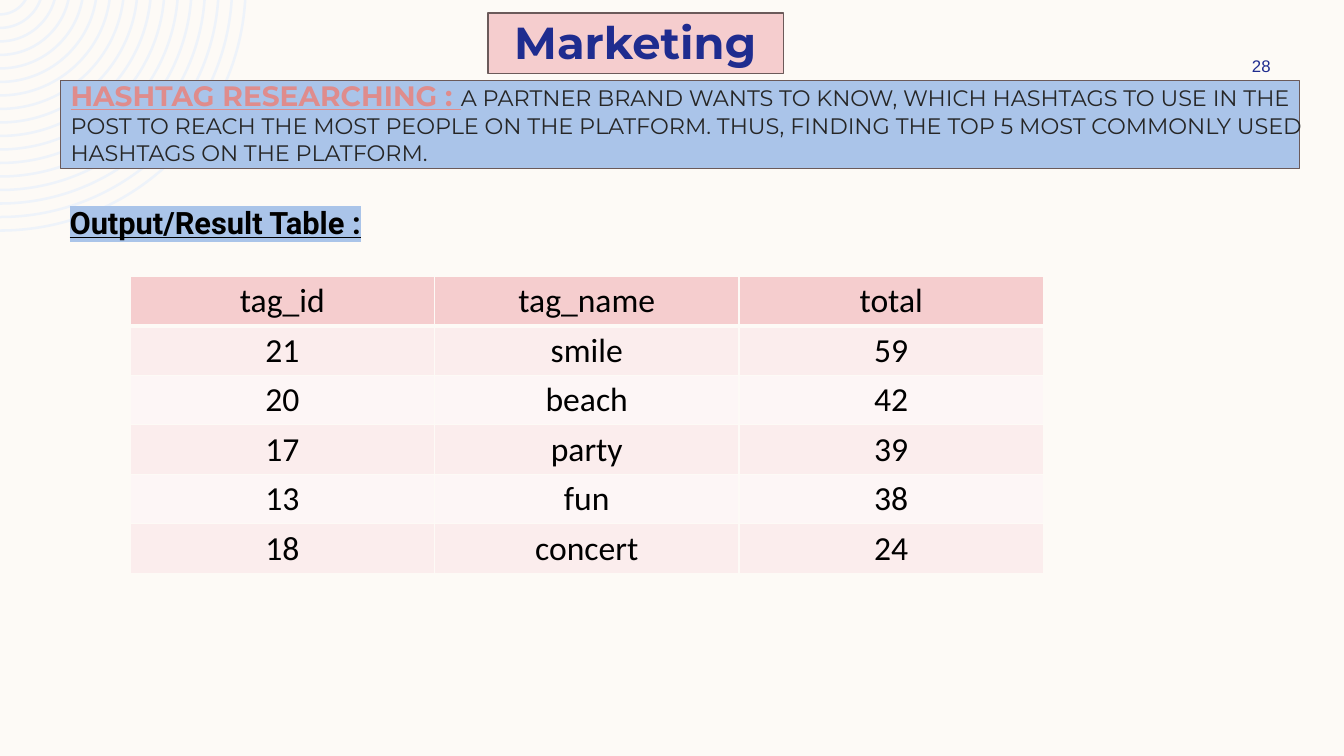
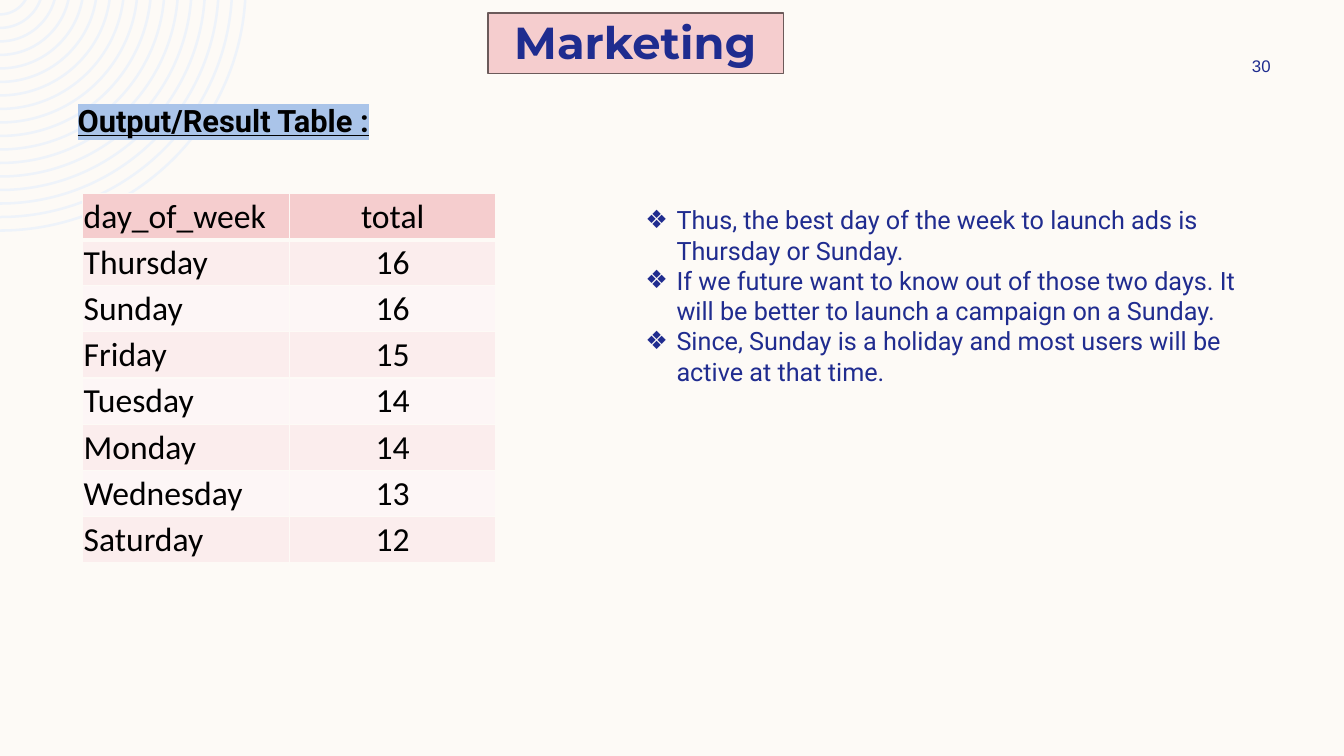
"""Build two Marketing slides, each with a result table, and save them as out.pptx."""
import math

import lxml.etree
import pptx
import pptx.dml.color
import pptx.enum.shapes
import pptx.enum.text
import pptx.oxml
import pptx.oxml.ns
import pptx.util

Inches, Pt = pptx.util.Inches, pptx.util.Pt
ALIGN, ANCHOR = pptx.enum.text.PP_ALIGN, pptx.enum.text.MSO_ANCHOR
qn = pptx.oxml.ns.qn

CREAM, RING, BLUE, PINK = "FDFAF6", "EEF3FA", "AAC4E9", "F5CDCE"
ROW_TINTS = ["FBEDED", "FDF6F6"]
OUTLINE, NAVY, BLACK = "6B5A5A", "1F2C8F", "000000"

TITLE_FONT = {"name": "Montserrat", "size": Pt(32), "bold": True, "color": NAVY}
LEAD_FONT = {"name": "Montserrat", "size": Pt(20), "bold": True, "underline": True, "color": "DF8C8C"}
BRIEF_FONT = {"name": "Montserrat", "size": Pt(16), "bold": False, "underline": False, "color": "262626"}
CAPTION_FONT = {"name": "Roboto", "size": Pt(22), "bold": True, "underline": True, "color": BLACK}
FINDING_FONT = {"name": "Roboto", "size": Pt(18), "color": "202C8F"}
NUMBER_FONT = {"name": "Arial", "size": Pt(12), "color": NAVY}
CELL_FONT = {"name": "Calibri", "size": Pt(24), "bold": False, "color": BLACK}
FRAME = {"word_wrap": True, "auto_size": pptx.enum.text.MSO_AUTO_SIZE.NONE}
TITLE_FRAME = FRAME | {"word_wrap": False, "margin_left": Inches(0.26), "margin_bottom": Inches(0.09),
                       "vertical_anchor": ANCHOR.MIDDLE}
FLUSH = {"space_before": Pt(0), "alignment": ALIGN.LEFT}
CELL_BOX = {"margin_left": Inches(0.01), "margin_top": Inches(0.01), "margin_right": Inches(0.01),
            "margin_bottom": 0, "vertical_anchor": ANCHOR.MIDDLE}

SLIDES = [
    {
        "number": "28",
        "caption_at": (0.59, 1.97, 12.16, 1.87),
        "notes_at": (0.6, 0.73, 12.45, 1.01),
        "band_at": (0.6, 0.8, 12.29, 0.87),
        "lead": "HASHTAG RESEARCHING : ",
        "notes": ["A PARTNER BRAND WANTS TO KNOW, WHICH HASHTAGS TO USE IN THE POST TO REACH THE MOST "
                  "PEOPLE ON THE PLATFORM. THUS, FINDING THE TOP 5 MOST COMMONLY USED HASHTAGS ON THE PLATFORM."],
        "table_at": (1.29, 2.74, 9.06, 2.95), "first_align": ALIGN.CENTER,
        "rows": [("tag_id", "tag_name", "total"), ("21", "smile", "59"), ("20", "beach", "42"),
                 ("17", "party", "39"), ("13", "fun", "38"), ("18", "concert", "24")],
    },
    {
        "number": "30",
        "caption_at": (0.67, 0.96, 12.16, 1.87),
        "notes_at": (6.3, 1.98, 6.36, 1.92),
        "lead": "",
        "notes": ["Thus, the best day of the week to launch ads is Thursday or Sunday.",
                  "If we future want to know out of those two days. It will be better to launch "
                  "a campaign on a Sunday.",
                  "Since, Sunday is a holiday and most users will be active at that time."],
        "table_at": (0.82, 1.92, 4.1, 3.66), "first_align": ALIGN.LEFT,
        "rows": [("day_of_week", "total"), ("Thursday", "16"), ("Sunday", "16"), ("Friday", "15"),
                 ("Tuesday", "14"), ("Monday", "14"), ("Wednesday", "13"), ("Saturday", "12")],
    },
]


def rgb(code):
    return pptx.dml.color.RGBColor.from_string(code)


def style(target, values):
    for key, value in values.items():
        if key == "color":
            target.color.rgb = rgb(value)
        elif key == "fill":
            target.fill.solid()
            target.fill.fore_color.rgb = rgb(value)
        elif key == "at":
            target.left, target.top, target.width, target.height = map(Inches, value)
        else:
            setattr(target, key, value)


deck = pptx.Presentation()
deck.slide_width, deck.slide_height = Inches(13.33), Inches(7.5)
master = deck.slide_master
style(master.background, {"fill": CREAM})
two_content = deck.slide_layouts.get_by_name("Two Content")
pages = [deck.slides.add_slide(two_content) for _ in SLIDES]

ring_count, ring_step, ring_width, centre_rise, units = 17, 134, 25, 150, 1000
outlines = []
for ring in range(ring_count):
    outline = []
    outer = 2450 - ring * ring_step
    for radius, direction in ((outer, 1), (outer - ring_width, -1)):
        start = math.asin(centre_rise / radius)
        pull = 4 / 3 * math.tan((math.pi / 2 - start) / 4) * radius
        edge_x, edge_y = radius * math.cos(start), radius * math.sin(start)
        arc = [(edge_x, edge_y), (edge_x - pull * math.sin(start), edge_y + pull * math.cos(start)),
               (pull, radius), (0, radius)]
        outline += [(x, y - centre_rise) for x, y in arc[::direction]]
    outlines.append(outline)
pen = pages[0].shapes.build_freeform(*outlines[0][0], scale=Inches(1) / units)
for ring, outline in enumerate(outlines):
    if ring:
        pen.move_to(*outline[0])
    pen.add_line_segments(outline[1:], close=True)
rings = pen.convert_to_shape()
segments = list(rings.element.iter(qn("a:lnTo")))
for first in range(0, len(segments), 7):
    for offset in (first, first + 4):
        curve = lxml.etree.Element(qn("a:cubicBezTo"))
        segments[offset].addprevious(curve)
        for segment in segments[offset:offset + 3]:
            curve.append(segment[0])
            segment.getparent().remove(segment)
style(rings, {"fill": RING})
rings.line.fill.background()
rings.shadow.inherit = False
master.shapes.element.insert(2, rings.element)

for page, content in zip(pages, SLIDES):
    title, caption, notes = page.placeholders
    style(title, {"at": (4.84, 0.13, 2.93, 0.6), "fill": PINK})
    style(title.line, {"color": OUTLINE, "width": Pt(1)})
    style(title.text_frame, TITLE_FRAME)
    title.text_frame.text = "Marketing"
    style(title.text_frame.paragraphs[0], FLUSH)
    style(title.text_frame.paragraphs[0].runs[0].font, TITLE_FONT)

    style(caption, {"at": content["caption_at"]})
    style(caption.text_frame, FRAME)
    caption.text_frame.text = "Output/Result Table :"
    heading = caption.text_frame.paragraphs[0]
    style(heading, FLUSH | {"space_before": Pt(3.6)})
    style(heading.runs[0].font, CAPTION_FONT)
    highlight = lxml.etree.Element(qn("a:highlight"))
    lxml.etree.SubElement(highlight, qn("a:srgbClr"), val=BLUE)
    heading.runs[0]._r.rPr.find(qn("a:solidFill")).addnext(highlight)

    style(notes, {"at": content["notes_at"]})
    style(notes.text_frame, FRAME)
    notes.text_frame.text = "\n".join(content["notes"])
    for paragraph in notes.text_frame.paragraphs:
        style(paragraph, FLUSH)
        style(paragraph.runs[0].font, BRIEF_FONT if content["lead"] else FINDING_FONT)
    unbulleted = [heading]
    if content["lead"]:
        brief = notes.text_frame.paragraphs[0]
        unbulleted.append(brief)
        lead = brief.add_run()
        lead.text = content["lead"]
        style(lead.font, LEAD_FONT)
        brief.runs[0]._r.addprevious(lead._r)
        band = page.shapes.add_shape(pptx.enum.shapes.MSO_SHAPE.RECTANGLE, *map(Inches, content["band_at"]))
        style(band, {"fill": BLUE})
        style(band.line, {"color": OUTLINE, "width": Pt(1)})
        band.shadow.inherit = False
        page.shapes.element.insert(2, band.element)
    else:
        for paragraph in notes.text_frame.paragraphs:
            properties = paragraph._p.get_or_add_pPr()
            properties.set("marL", str(Inches(0.31)))
            properties.set("indent", str(-Inches(0.31)))
            lxml.etree.SubElement(properties, qn("a:buChar"), char="❖")
    for paragraph in unbulleted:
        properties = paragraph._p.get_or_add_pPr()
        properties.set("marL", "0")
        properties.set("indent", "0")
        lxml.etree.SubElement(properties, qn("a:buNone"))

    number = page.shapes.add_textbox(*map(Inches, (11.97, 0.5, 1.08, 0.3)))
    style(number.text_frame, FRAME | {"vertical_anchor": ANCHOR.MIDDLE})
    number.text_frame.text = content["number"]
    number.text_frame.paragraphs[0].alignment = ALIGN.CENTER
    style(number.text_frame.paragraphs[0].runs[0].font, NUMBER_FONT)

    rows = content["rows"]
    results = page.shapes.add_table(len(rows), len(rows[0]), *map(Inches, content["table_at"])).table
    style(results, {"first_row": False, "horz_banding": False})
    for r, row in enumerate(rows):
        for c, value in enumerate(row):
            cell = results.cell(r, c)
            cell.text = value
            style(cell, CELL_BOX)
            borders = cell._tc.get_or_add_tcPr()
            for side in ("lnL", "lnR", "lnT", "lnB"):
                thick = (r, side) in ((0, "lnB"), (1, "lnT"))
                border = lxml.etree.SubElement(borders, qn("a:" + side), w=str(Pt(3 if thick else 1)))
                ink = lxml.etree.SubElement(border, qn("a:solidFill"))
                lxml.etree.SubElement(ink, qn("a:srgbClr"), val=CREAM)
            style(cell, {"fill": ROW_TINTS[(r - 1) % 2] if r else PINK})
            entry = cell.text_frame.paragraphs[0]
            entry.alignment = ALIGN.CENTER if c else content["first_align"]
            style(entry.runs[0].font, CELL_FONT)

deck.save("out.pptx")
